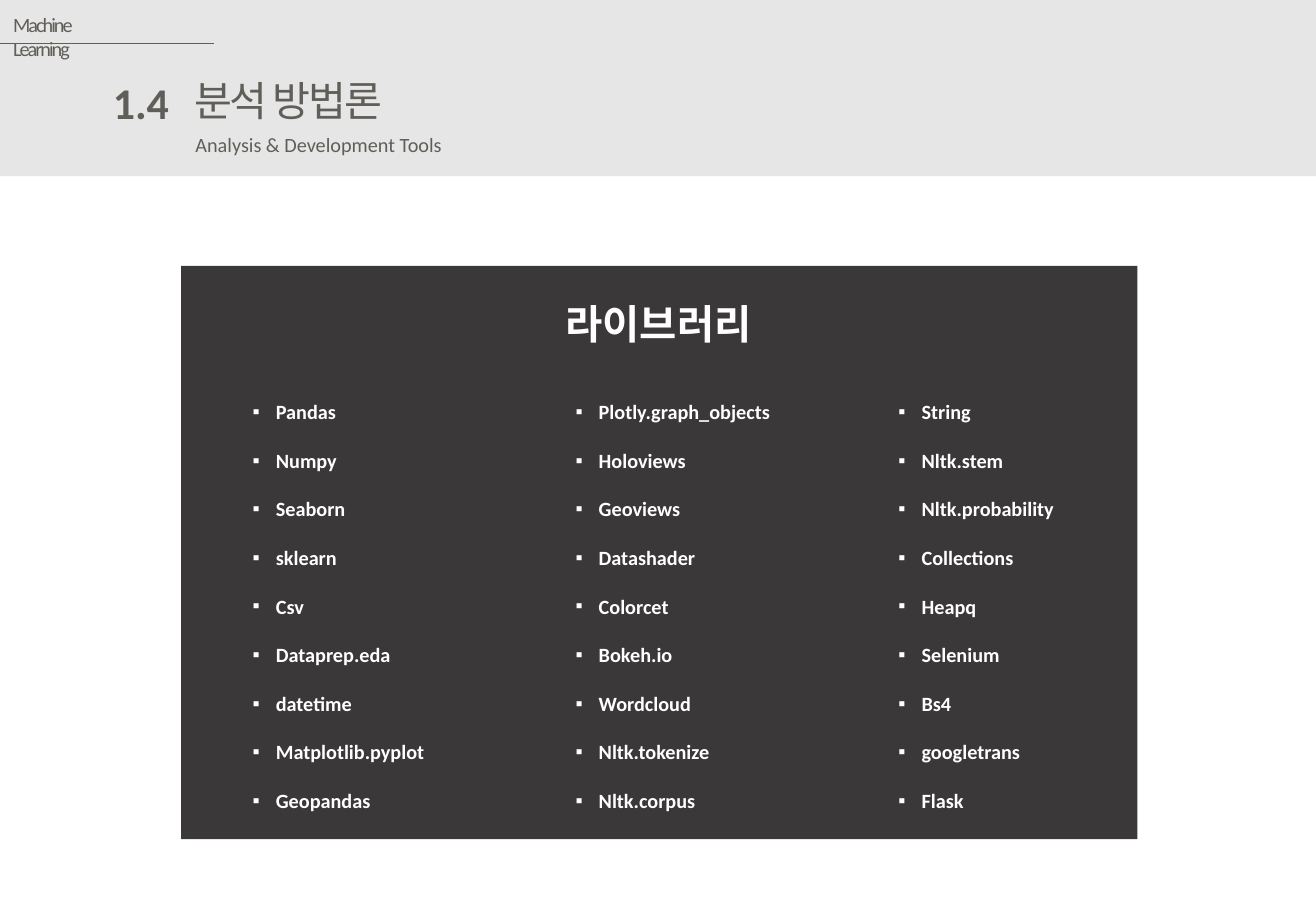
from pptx import Presentation
from pptx.dml.color import RGBColor
from pptx.enum.shapes import MSO_CONNECTOR, MSO_SHAPE
from pptx.enum.text import MSO_ANCHOR, MSO_AUTO_SIZE, PP_ALIGN
from pptx.oxml.ns import qn
from pptx.util import Inches, Pt
from lxml.etree import SubElement

# Content
CHAPTER = "Machine Learning"
NUMBER = "1.4"
TITLE = "분석 방법론"
SUBTITLE = "Analysis & Development Tools"
HEADING = "라이브러리"
LIBRARIES = [
    "Pandas", "Numpy", "Seaborn", "sklearn", "Csv",
    "Dataprep.eda", "datetime", "Matplotlib.pyplot", "Geopandas",
    "Plotly.graph_objects", "Holoviews", "Geoviews", "Datashader", "Colorcet",
    "Bokeh.io", "Wordcloud", "Nltk.tokenize", "Nltk.corpus",
    "String", "Nltk.stem", "Nltk.probability", "Collections", "Heapq",
    "Selenium", "Bs4", "googletrans", "Flask",
]

# Colours
LIGHT_GREY = RGBColor(0xE7, 0xE6, 0xE6)
OLIVE_GREY = RGBColor(0x5F, 0x5E, 0x58)
CHARCOAL = RGBColor(0x3A, 0x38, 0x38)
WHITE = RGBColor(0xFF, 0xFF, 0xFF)

# Layout: left, top, width, height in percent of the slide
WIDTH, HEIGHT = Inches(10.83), Inches(7.5)
BAND = (0, -0.13, 100, 19.47)
RULE = (-0.09, 4.8, 16.34, 0)
CHAPTER_AREA = (0.09, 0.67, 10.16, 4)
NUMBER_AREA = (7.57, 7.6, 6.19, 7.2)
TITLE_AREA = (13.85, 7.6, 17.82, 6.8)
SUBTITLE_AREA = (13.94, 13.87, 20.87, 4)
PANEL = (13.76, 29.2, 72.67, 62.93)
LIST_AREA = (PANEL[0], 40.53, PANEL[2], 49.87)
HEADING_AREA = (10.06, 30.27, 79.96, 10.53)
COLUMNS, COLUMN_GAP = 3, Inches(0.79)
LIST_INSET, BULLET_INDENT = Inches(0.59), Inches(0.19)

deck = Presentation()
deck.slide_width, deck.slide_height = WIDTH, HEIGHT
page = deck.slides.add_slide(deck.slide_layouts[6])


def place(area):
    left, top, width, height = area
    return (int(WIDTH * left / 100), int(HEIGHT * top / 100),
            int(WIDTH * width / 100), int(HEIGHT * height / 100))


def add_block(area, colour):
    block = page.shapes.add_shape(MSO_SHAPE.RECTANGLE, *place(area))
    block.shadow.inherit = False
    block.fill.solid()
    block.fill.fore_color.rgb = colour
    block.line.fill.background()


def add_text(area, lines, size=12, colour=OLIVE_GREY, font="Calibri", bold=False,
             align=PP_ALIGN.LEFT, anchor=MSO_ANCHOR.TOP, wrap=False,
             tracking=None, line_spacing=None):
    box = page.shapes.add_textbox(*place(area))
    frame = box.text_frame
    frame.word_wrap = wrap
    frame.auto_size = MSO_AUTO_SIZE.SHAPE_TO_FIT_TEXT
    frame.vertical_anchor = anchor
    for index, line in enumerate(lines):
        para = frame.add_paragraph() if index else frame.paragraphs[0]
        para.alignment = align
        if line_spacing:
            para.line_spacing = line_spacing
        span = para.add_run()
        span.text = line
        span.font.size = Pt(size)
        span.font.name = font
        span.font.bold = bold
        span.font.color.rgb = colour
        if tracking:
            span.font._element.set("spc", str(int(tracking * 100)))
    return frame


# Header band with chapter rule
add_block(BAND, LIGHT_GREY)
left, top, width, height = place(RULE)
rule = page.shapes.add_connector(MSO_CONNECTOR.STRAIGHT, left, top, left + width, top + height)
rule.line.color.rgb = OLIVE_GREY
rule.line.width = Pt(0.5)
SubElement(rule._element.spPr, qn("a:effectLst"))

# Header text
add_text(CHAPTER_AREA, [CHAPTER], tracking=-1.2, wrap=True)
add_text(NUMBER_AREA, [NUMBER], size=26, bold=True, align=PP_ALIGN.RIGHT)
add_text(TITLE_AREA, [TITLE], size=24.4, font="Arial", tracking=-1.2)
add_text(SUBTITLE_AREA, [SUBTITLE])

# Panel with the bulleted libraries in columns
add_block(PANEL, CHARCOAL)
library_frame = add_text(LIST_AREA, LIBRARIES, colour=WHITE, bold=True, wrap=True, line_spacing=2.0)
library_frame.margin_left = LIST_INSET
body = library_frame._element.bodyPr
body.set("numCol", str(COLUMNS))
body.set("spcCol", str(COLUMN_GAP))
for para in library_frame.paragraphs:
    properties = para._element.get_or_add_pPr()
    properties.set("marL", str(BULLET_INDENT))
    properties.set("indent", str(-BULLET_INDENT))
    SubElement(properties, qn("a:buFont")).set("typeface", "Arial")
    SubElement(properties, qn("a:buChar")).set("char", "▪")

# Panel heading
add_text(HEADING_AREA, [HEADING], size=24, colour=WHITE, bold=True,
         align=PP_ALIGN.CENTER, anchor=MSO_ANCHOR.MIDDLE, wrap=True)

deck.save("out.pptx")
